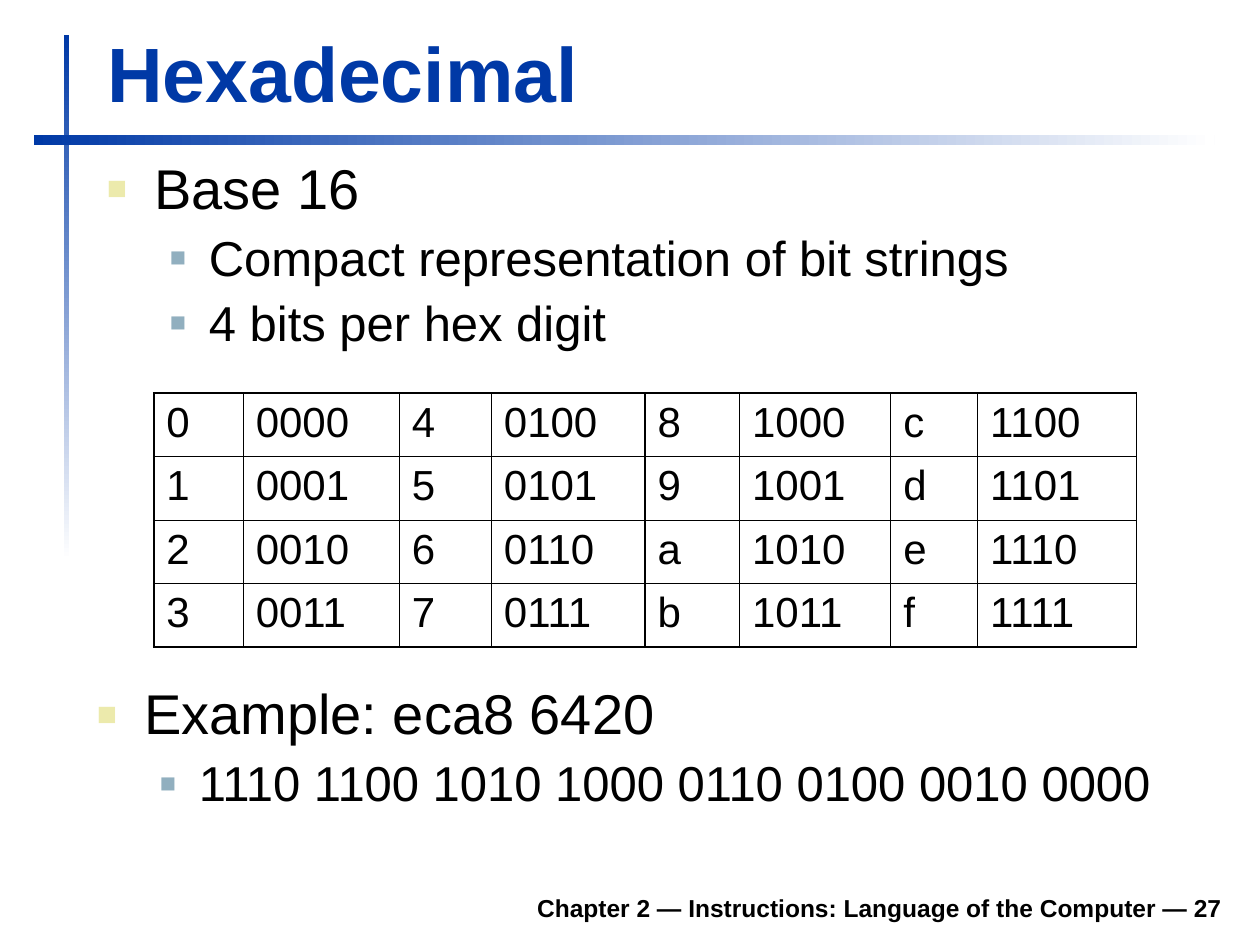
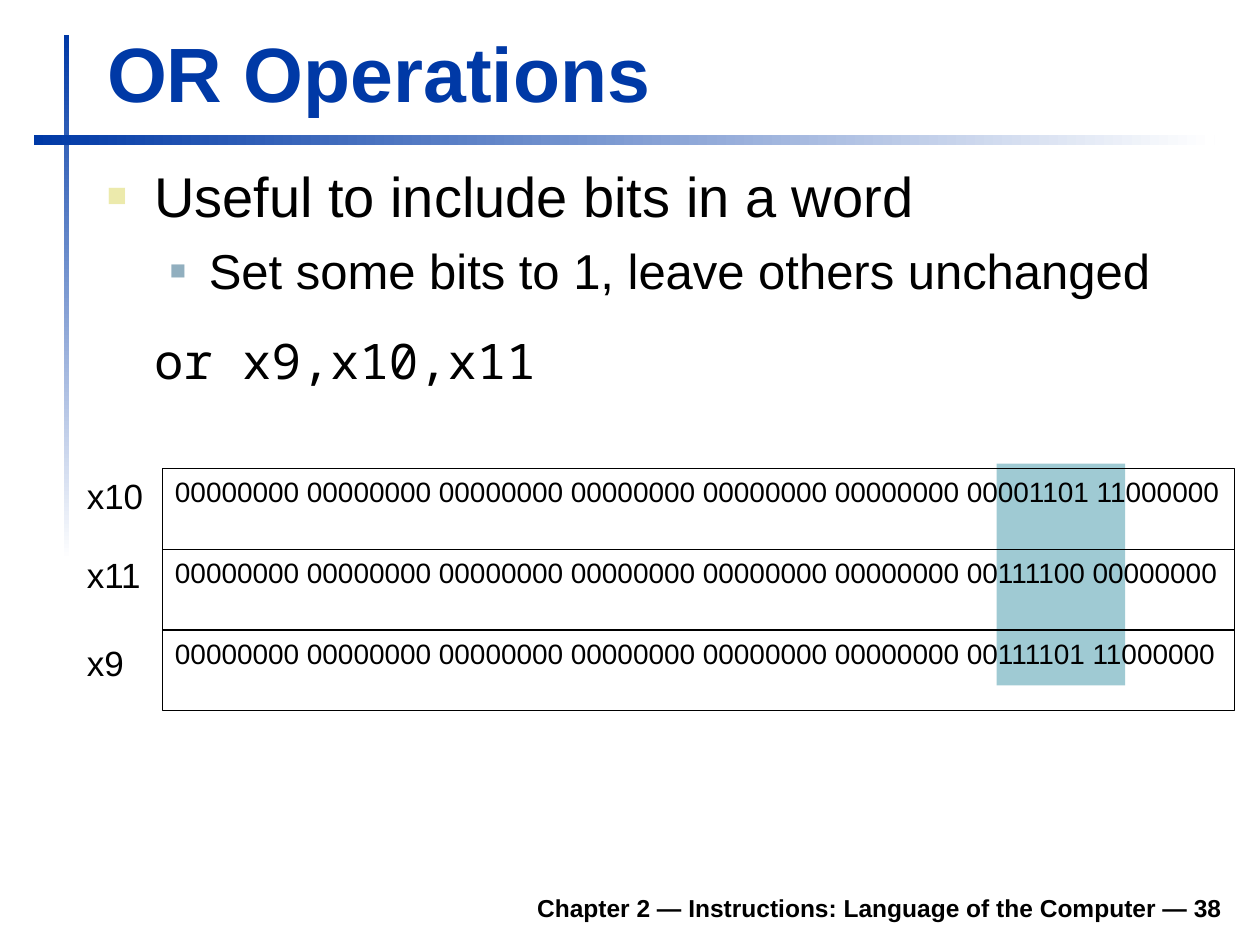
from collections import namedtuple

from pptx import Presentation
from pptx.dml.color import RGBColor
from pptx.enum.shapes import MSO_SHAPE
from pptx.enum.text import MSO_ANCHOR, MSO_AUTO_SIZE, PP_ALIGN
from pptx.oxml.ns import qn
from pptx.util import Inches, Pt
from lxml.etree import SubElement

COLORS = {
    "accent": "0039A6",
    "paper": "FFFFFF",
    "ink": "000000",
    "bullet": "ECEAAC",
    "sub_bullet": "91AFBF",
    "highlight": "9FCAD3",
}
FONT, CODE_FONT = "Arial", "Noto Sans Mono"
FOOTER = "Chapter 2 — Instructions: Language of the Computer — "

# The slide is a grid of 100 columns by 75 rows of square cells.
COLUMNS, ROWS = 100, 75
CELL = Inches(0.1)
Box = namedtuple("Box", "left top width height")

# Outline levels: size, left margin, hanging indent (cells), space before, bullet colour and size
Level = namedtuple("Level", "size margin hang before color percent")
LEVELS = [
    Level(32, 3.75, 3.75, 8, "bullet", 60),
    Level(28, 8.1, 3.1, 7, "sub_bullet", 55),
]

HEX_COLUMN_WIDTHS = [7.1, 12.4, 7.3, 12.2, 7.5, 12, 6.9, 12.6]
ZERO_BYTES = "00000000 " * 6


def color(name):
    return RGBColor.from_string(COLORS[name])


def emu(box):
    return [int(length * CELL) for length in box]


def set_font(paragraph, size, name=FONT, ink="ink", bold=False):
    font = paragraph.font
    font.size, font.name, font.bold = Pt(size), name, bold
    font.color.rgb = color(ink)


def set_frame(frame, anchor=MSO_ANCHOR.TOP, wrap=True):
    frame.margin_left = frame.margin_right = Inches(0.1)
    frame.margin_top = frame.margin_bottom = Inches(0.05)
    frame.auto_size = MSO_AUTO_SIZE.NONE
    frame.word_wrap = wrap
    frame.vertical_anchor = anchor


def add_text(slide, box, text, size, bold=False, align=PP_ALIGN.LEFT,
             anchor=MSO_ANCHOR.TOP, wrap=True):
    frame = slide.shapes.add_textbox(*emu(box)).text_frame
    set_frame(frame, anchor, wrap)
    paragraph = frame.paragraphs[0]
    paragraph.text, paragraph.alignment = text, align
    set_font(paragraph, size, bold=bold)


def add_rectangle(slide, box):
    """Add a rectangle with no fill, line or shadow."""
    shape = slide.shapes.add_shape(MSO_SHAPE.RECTANGLE, *emu(box))
    shape.shadow.inherit = False
    shape.fill.background()
    shape.line.fill.background()
    return shape


def add_fading_bar(slide, box, angle):
    fill = add_rectangle(slide, box).fill
    fill.gradient()
    fill.gradient_angle = angle
    for stop, name, position in zip(fill.gradient_stops, ("accent", "paper"), (0, 1)):
        stop.color.rgb = color(name)
        stop.position = position


def set_indent(paragraph, margin, hang):
    properties = paragraph._p.get_or_add_pPr()
    properties.set("marL", str(int(margin * CELL)))
    properties.set("indent", str(int(-hang * CELL)))
    return properties


def add_outline(slide, box, items, line_spacing):
    """Add bulleted (level, text) items and return the text frame."""
    frame = slide.shapes.add_textbox(*emu(box)).text_frame
    set_frame(frame)
    for index, (depth, text) in enumerate(items):
        paragraph = frame.add_paragraph() if index else frame.paragraphs[0]
        level = LEVELS[depth]
        paragraph.text = text
        paragraph.level = depth
        paragraph.line_spacing = line_spacing
        paragraph.space_before = Pt(level.before)
        set_font(paragraph, level.size)
        properties = set_indent(paragraph, level.margin, level.hang)
        bullet_color = SubElement(properties, qn("a:buClr"))
        SubElement(bullet_color, qn("a:srgbClr"), val=COLORS[level.color])
        SubElement(properties, qn("a:buSzPct"), val=str(level.percent * 1000))
        SubElement(properties, qn("a:buFont"), typeface=FONT)
        SubElement(properties, qn("a:buChar"), char="■")
        # Default run properties must follow the bullet elements.
        properties.append(properties.find(qn("a:defRPr")))
    return frame


def add_slide(presentation, title, number):
    """Add a title-only slide with the shared bars, title and footer."""
    slide = presentation.slides.add_slide(presentation.slide_layouts[5])
    add_fading_bar(slide, Box(5.1, 2.8, 0.4, 41.7), 270)
    add_fading_bar(slide, Box(2.7, 10.7, 93.7, 0.8), 0)
    add_text(slide, Box(18.5, 69.8, 79.5, 3.9), f"{FOOTER}{number}", 14,
             bold=True, align=PP_ALIGN.RIGHT, anchor=MSO_ANCHOR.BOTTOM)
    placeholder = slide.shapes.title
    placeholder.left, placeholder.top, placeholder.width, placeholder.height = emu(
        Box(7.5, 1.6, 90.3, 8.3))
    set_frame(placeholder.text_frame, MSO_ANCHOR.BOTTOM)
    paragraph = placeholder.text_frame.paragraphs[0]
    paragraph.text, paragraph.alignment = title, PP_ALIGN.LEFT
    set_font(paragraph, 44, ink="accent", bold=True)
    return slide


def edge_width(edge, last, inner):
    return 1.08 if edge in (0, last) else inner


def set_borders(cell, widths):
    properties = cell._tc.get_or_add_tcPr()
    for side, width in zip("LRTB", widths):
        line = SubElement(properties, qn(f"a:ln{side}"), w=str(int(Pt(width))))
        fill = SubElement(line, qn("a:solidFill"))
        SubElement(fill, qn("a:srgbClr"), val=COLORS["ink"])


def add_hex_table(slide, box):
    """List the 16 digits with their bits, reading down four pairs of columns."""
    rows, columns = 4, len(HEX_COLUMN_WIDTHS)
    table = slide.shapes.add_table(rows, columns, *emu(box)).table
    table.first_row = table.horz_banding = False
    for column, width in zip(table.columns, HEX_COLUMN_WIDTHS):
        column.width = int(width * CELL)
    vertical = [edge_width(edge, columns, 0.45 if edge % 2 else 0.75)
                for edge in range(columns + 1)]
    horizontal = [edge_width(edge, rows, 0.45) for edge in range(rows + 1)]
    for row in range(rows):
        for column in range(columns):
            digit = column // 2 * rows + row
            cell = table.cell(row, column)
            cell.text = f"{digit:04b}" if column % 2 else f"{digit:x}"
            set_font(cell.text_frame.paragraphs[0], 24)
            set_borders(cell, vertical[column:column + 2] + horizontal[row:row + 2])
            cell.fill.background()


def add_registers(slide, box):
    """Stack the three registers, with the bits of interest highlighted behind them."""
    registers = [
        ("x10", "00001101 11000000", 0),
        ("x11", "00111100 00000000", -0.2),
        ("x9", "00111101 11000000", 0.4),
    ]
    highlight = add_rectangle(
        slide, Box(box.left + 66.2, box.top - 0.4, 10.2, 17.6))
    highlight.fill.solid()
    highlight.fill.fore_color.rgb = color("highlight")
    height = box.height / len(registers)
    for index, (name, low_bits, label_shift) in enumerate(registers):
        top = box.top + index * height
        add_text(slide, Box(box.left - 7, top + label_shift, 6.5, 4.4), name, 20, wrap=False)
        register = add_rectangle(slide, Box(box.left, top, box.width, height))
        register.line.color.rgb = color("ink")
        register.line.width = Pt(0.75)
        set_frame(register.text_frame)
        paragraph = register.text_frame.paragraphs[0]
        paragraph.text, paragraph.alignment = ZERO_BYTES + low_bits, PP_ALIGN.LEFT
        set_font(paragraph, 16)


def add_instruction(frame, text):
    paragraph = frame.add_paragraph()
    paragraph.text = text
    paragraph.space_before, paragraph.space_after = Pt(17.5), Pt(10.5)
    set_indent(paragraph, LEVELS[0].margin, 0)
    set_font(paragraph, 28, CODE_FONT)


def build_hexadecimal(presentation):
    slide = add_slide(presentation, "Hexadecimal", 27)
    add_outline(slide, Box(7.5, 12.3, 90.4, 17.3), [
        (0, "Base 16"),
        (1, "Compact representation of bit strings"),
        (1, "4 bits per hex digit"),
    ], 0.9)
    add_hex_table(slide, Box(12.2, 31.2, sum(HEX_COLUMN_WIDTHS), 20.16))
    add_outline(slide, Box(6.7, 54, 90.4, 12.6), [
        (0, "Example: eca8 6420"),
        (1, "1110 1100 1010 1000 0110 0100 0010 0000"),
    ], 0.9)


def build_or_operations(presentation):
    slide = add_slide(presentation, "OR Operations", 38)
    outline = add_outline(slide, Box(7.5, 12.3, 90.4, 22.7), [
        (0, "Useful to include bits in a word"),
        (1, "Set some bits to 1, leave others unchanged"),
    ], 1.0)
    add_instruction(outline, "or x9,x10,x11")
    add_registers(slide, Box(12.9, 37.2, 85.1, 19.2))


def main():
    presentation = Presentation()
    presentation.slide_width = COLUMNS * CELL
    presentation.slide_height = ROWS * CELL
    build_hexadecimal(presentation)
    build_or_operations(presentation)
    presentation.save("out.pptx")


if __name__ == "__main__":
    main()
